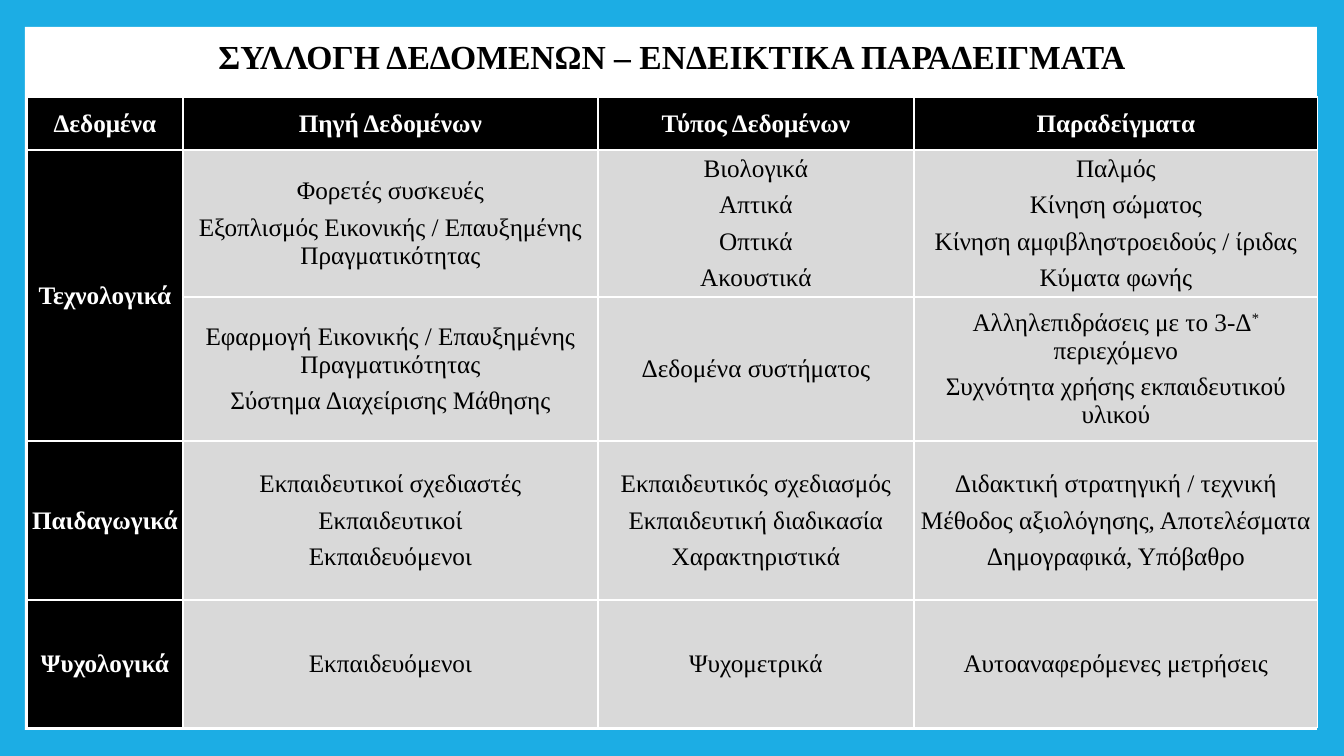
from lxml.etree import SubElement
from pptx import Presentation
from pptx.dml.color import RGBColor
from pptx.enum.shapes import MSO_SHAPE
from pptx.enum.text import MSO_ANCHOR, PP_ALIGN
from pptx.oxml.ns import qn
from pptx.util import Emu, Pt

SLIDE_W, SLIDE_H = 1344, 756
SCALE = 12192000 / SLIDE_W
FONT = "Times New Roman"
BLUE = RGBColor(0x1C, 0xAD, 0xE4)
WHITE = RGBColor(0xFF, 0xFF, 0xFF)
BLACK = RGBColor(0x00, 0x00, 0x00)
GREY = RGBColor(0xD9, 0xD9, 0xD9)

TITLE = "ΣΥΛΛΟΓΗ ΔΕΔΟΜΕΝΩΝ – ΕΝΔΕΙΚΤΙΚΑ ΠΑΡΑΔΕΙΓΜΑΤΑ"
COL_WIDTHS = [156, 415, 316, 404]
ROW_HEIGHTS = [53, 147, 144, 159, 128]
# One list of paragraphs per cell; None continues the cell above
ROWS = [
    [["Δεδομένα"], ["Πηγή Δεδομένων"], ["Τύπος Δεδομένων"], ["Παραδείγματα"]],
    [["Τεχνολογικά"],
     ["Φορετές συσκευές", "Εξοπλισμός Εικονικής / Επαυξημένης Πραγματικότητας"],
     ["Βιολογικά", "Απτικά", "Οπτικά", "Ακουστικά"],
     ["Παλμός", "Κίνηση σώματος", "Κίνηση αμφιβληστροειδούς / ίριδας",
      "Κύματα φωνής"]],
    [None,
     ["Εφαρμογή Εικονικής / Επαυξημένης Πραγματικότητας",
      "Σύστημα Διαχείρισης Μάθησης"],
     ["Δεδομένα συστήματος"],
     ["Αλληλεπιδράσεις με το 3-Δ* περιεχόμενο",
      "Συχνότητα χρήσης εκπαιδευτικού υλικού"]],
    [["Παιδαγωγικά"],
     ["Εκπαιδευτικοί σχεδιαστές", "Εκπαιδευτικοί", "Εκπαιδευόμενοι"],
     ["Εκπαιδευτικός σχεδιασμός", "Εκπαιδευτική διαδικασία", "Χαρακτηριστικά"],
     ["Διδακτική στρατηγική / τεχνική", "Μέθοδος αξιολόγησης, Αποτελέσματα",
      "Δημογραφικά, Υπόβαθρο"]],
    [["Ψυχολογικά"], ["Εκπαιδευόμενοι"], ["Ψυχομετρικά"],
     ["Αυτοαναφερόμενες μετρήσεις"]],
]


def px(n):
    return Emu(round(n * SCALE))


def write(tf, paragraphs, size, color, bold):
    """Centred paragraphs; an asterisk becomes a superscript run."""
    for i, text in enumerate(paragraphs):
        p = tf.add_paragraph() if i else tf.paragraphs[0]
        p.alignment = PP_ALIGN.CENTER
        if i:
            p.space_before = Pt(6)
        for part in filter(None, text.partition("*")):
            r = p.add_run()
            r.text = part
            r.font.name = FONT
            r.font.size = Pt(size)
            r.font.bold = bold
            r.font.color.rgb = color
            if part == "*":
                r.font._element.set("baseline", "30000")


def set_borders(cell, widths):
    """White borders, with widths in points keyed by L, R, T, B."""
    tcPr = cell._tc.get_or_add_tcPr()
    for i, (side, width) in enumerate(widths.items()):
        ln = SubElement(tcPr, qn(f"a:ln{side}"), w=str(Pt(width)))
        fill = SubElement(ln, qn("a:solidFill"))
        SubElement(fill, qn("a:srgbClr"), val=str(WHITE))
        tcPr.insert(i, ln)


def add_panel(slide, x, y, w, h):
    sp = slide.shapes.add_shape(MSO_SHAPE.RECTANGLE, px(x), px(y), px(w), px(h))
    sp.shadow.inherit = False
    sp.fill.solid()
    sp.fill.fore_color.rgb = WHITE
    sp.line.fill.background()


def add_title(slide, x, y, w, h):
    tf = slide.shapes.add_textbox(px(x), px(y), px(w), px(h)).text_frame
    tf.word_wrap = True
    tf.vertical_anchor = MSO_ANCHOR.MIDDLE
    write(tf, [TITLE], 24, BLACK, True)


def add_data_table(slide, x, y):
    last_row, last_col = len(ROWS) - 1, len(COL_WIDTHS) - 1
    table = slide.shapes.add_table(
        len(ROWS), len(COL_WIDTHS), px(x), px(y),
        px(sum(COL_WIDTHS)), px(sum(ROW_HEIGHTS))).table
    table.first_row = table.horz_banding = False
    for col, width in zip(table.columns, COL_WIDTHS):
        col.width = px(width)
    for row, height in zip(table.rows, ROW_HEIGHTS):
        row.height = px(height)

    for i, row in enumerate(ROWS):
        for j, paragraphs in enumerate(row):
            cell = table.cell(i, j)
            heading = i == 0 or j == 0
            cell.fill.solid()
            cell.fill.fore_color.rgb = BLACK if heading else GREY
            cell.vertical_anchor = MSO_ANCHOR.MIDDLE
            cell.margin_left = cell.margin_right = 0
            cell.margin_top = cell.margin_bottom = 0
            set_borders(cell, {"L": 1.5,
                               "R": 1 if j == last_col else 1.5,
                               "T": 1 if i == 0 else 1.5,
                               "B": 1 if i == last_row else 1.5})
            if paragraphs is None:
                table.cell(i - 1, j).merge(cell)
            else:
                write(cell.text_frame, paragraphs, 18,
                      WHITE if heading else BLACK, heading)


def main():
    prs = Presentation()
    prs.slide_width, prs.slide_height = px(SLIDE_W), px(SLIDE_H)
    slide = prs.slides.add_slide(prs.slide_layouts[6])

    # Blue frame around a white panel
    slide.background.fill.solid()
    slide.background.fill.fore_color.rgb = BLUE
    add_panel(slide, 25, 27, 1292, 703)

    # Title and table
    add_title(slide, 0, 15, SLIDE_W, 82)
    add_data_table(slide, 27, 97)
    prs.save("out.pptx")


if __name__ == "__main__":
    main()
